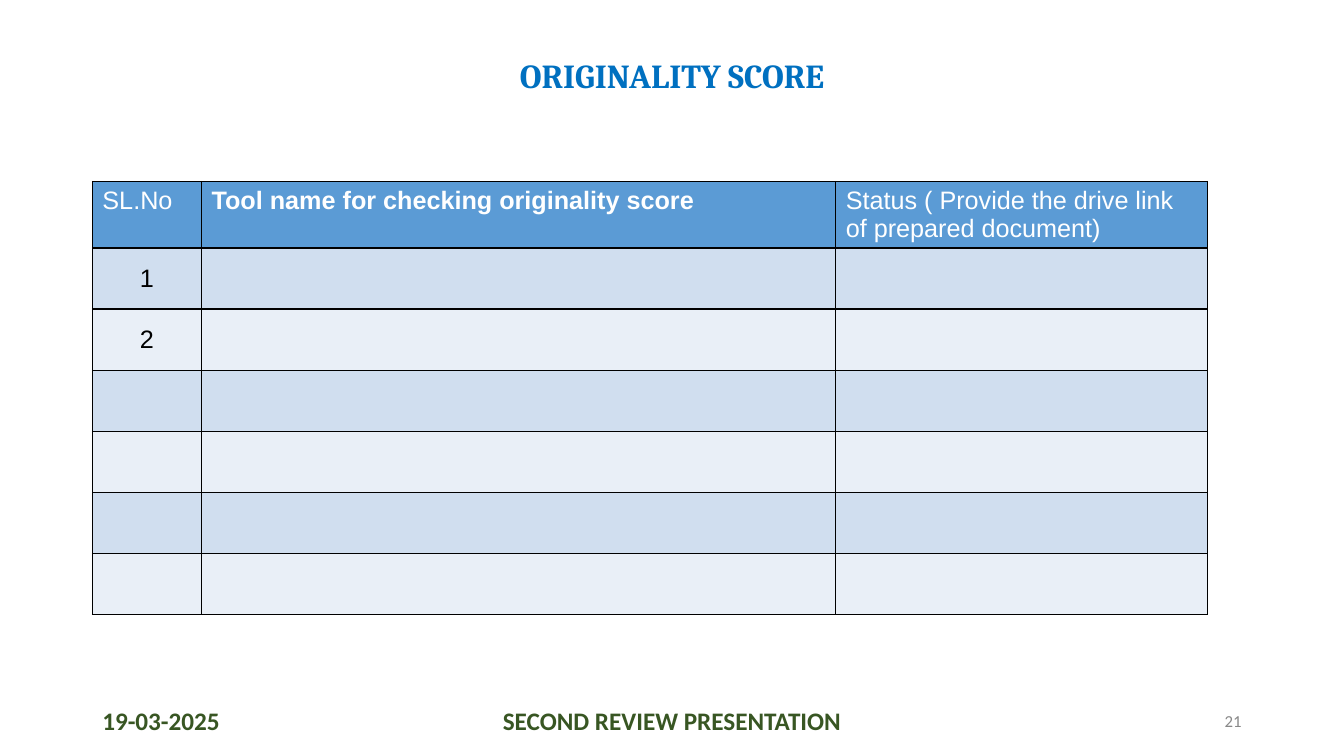
"""Build the originality score slide with its table and footer."""
from pptx import Presentation
from pptx import util as u
from pptx.dml.color import RGBColor
from pptx.enum import text
from pptx.oxml import parse_xml
from pptx.oxml.ns import nsdecls

COLORS = {
    "title": "0070C0", "footer": "385623", "number": "888888",
    "header": "5B9BD5", "odd": "D0DEEF", "even": "E9EFF7",
    "white": "FFFFFF", "black": "000000",
}
TITLE = "ORIGINALITY SCORE"
HEADERS = [
    ("SL.No", False),
    ("Tool name for checking originality score", True),
    ("Status ( Provide the drive link of prepared document)", False),
]
ROW_LABELS = ["1", "2", "", "", "", ""]
COLUMN_WIDTHS = [78, 453, 265.5]
HEADER_HEIGHT, ROW_HEIGHT = 47.5, 43.65
LEFT, TABLE_TOP = 66, 129.6
FOOTER_TOP, FOOTER_HEIGHT = 500.5, 28.75
ALIGN = text.PP_ALIGN
FOOTERS = [
    ("19-03-2025", LEFT, 216, ALIGN.LEFT, 18, "footer", True),
    ("SECOND REVIEW PRESENTATION", 318, 324, ALIGN.CENTER, 18, "footer", True),
    ("21", 678, 216, ALIGN.RIGHT, 12, "number", False),
]


def color(name):
    return RGBColor.from_string(COLORS[name])


def write(frame, words, font, size, tint, bold, align):
    frame.text = words
    para = frame.paragraphs[0]
    para.alignment = align
    para.font.size = u.Pt(size)
    for span in para.runs:
        span.font.name = font
        span.font.size = u.Pt(size)
        span.font.bold = bold
        span.font.color.rgb = color(tint)
    return para


def add_borders(cell):
    properties = cell._tc.get_or_add_tcPr()
    for index, side in enumerate(("lnL", "lnR", "lnT", "lnB")):
        properties.insert(index, parse_xml(
            f'<a:{side} {nsdecls("a")} w="12700"><a:solidFill>'
            f'<a:srgbClr val="{COLORS["black"]}"/></a:solidFill></a:{side}>'))


def fill_cell(cell, words, tint, shade, bold, align, anchor):
    cell.fill.solid()
    cell.fill.fore_color.rgb = color(shade)
    cell.vertical_anchor = anchor
    write(cell.text_frame, words, "Arial", 18, tint, bold, align)
    add_borders(cell)


def add_score_table(page):
    height = HEADER_HEIGHT + ROW_HEIGHT * len(ROW_LABELS)
    table = page.shapes.add_table(
        len(ROW_LABELS) + 1, len(HEADERS), u.Pt(LEFT), u.Pt(TABLE_TOP),
        u.Pt(sum(COLUMN_WIDTHS)), u.Pt(height)).table
    for column, width in zip(table.columns, COLUMN_WIDTHS):
        column.width = u.Pt(width)
    table.rows[0].height = u.Pt(HEADER_HEIGHT)
    for column, (words, bold) in enumerate(HEADERS):
        fill_cell(table.cell(0, column), words, "white", "header", bold,
                  ALIGN.LEFT, text.MSO_ANCHOR.TOP)
    for row, label in enumerate(ROW_LABELS, 1):
        table.rows[row].height = u.Pt(ROW_HEIGHT)
        shade = "odd" if row % 2 else "even"
        for column in range(len(HEADERS)):
            fill_cell(table.cell(row, column), "" if column else label, "black",
                      shade, False, ALIGN.CENTER, text.MSO_ANCHOR.MIDDLE)


def main():
    deck = Presentation()
    deck.slide_width, deck.slide_height = u.Pt(960), u.Pt(540)
    page = deck.slides.add_slide(deck.slide_layouts[5])

    title = page.shapes.title
    title.left, title.top = u.Pt(LEFT), u.Pt(28.75)
    title.width, title.height = u.Pt(828), u.Pt(54)
    title.text_frame.vertical_anchor = text.MSO_ANCHOR.MIDDLE
    para = write(title.text_frame, TITLE, "Cambria", 24, "title", True, ALIGN.CENTER)
    para.line_spacing = 0.9

    add_score_table(page)

    for words, left, width, align, size, tint, bold in FOOTERS:
        box = page.shapes.add_textbox(
            u.Pt(left), u.Pt(FOOTER_TOP), u.Pt(width), u.Pt(FOOTER_HEIGHT))
        box.text_frame.word_wrap = True
        box.text_frame.vertical_anchor = text.MSO_ANCHOR.MIDDLE
        write(box.text_frame, words, "Calibri", size, tint, bold, align)

    deck.save("out.pptx")


if __name__ == "__main__":
    main()
